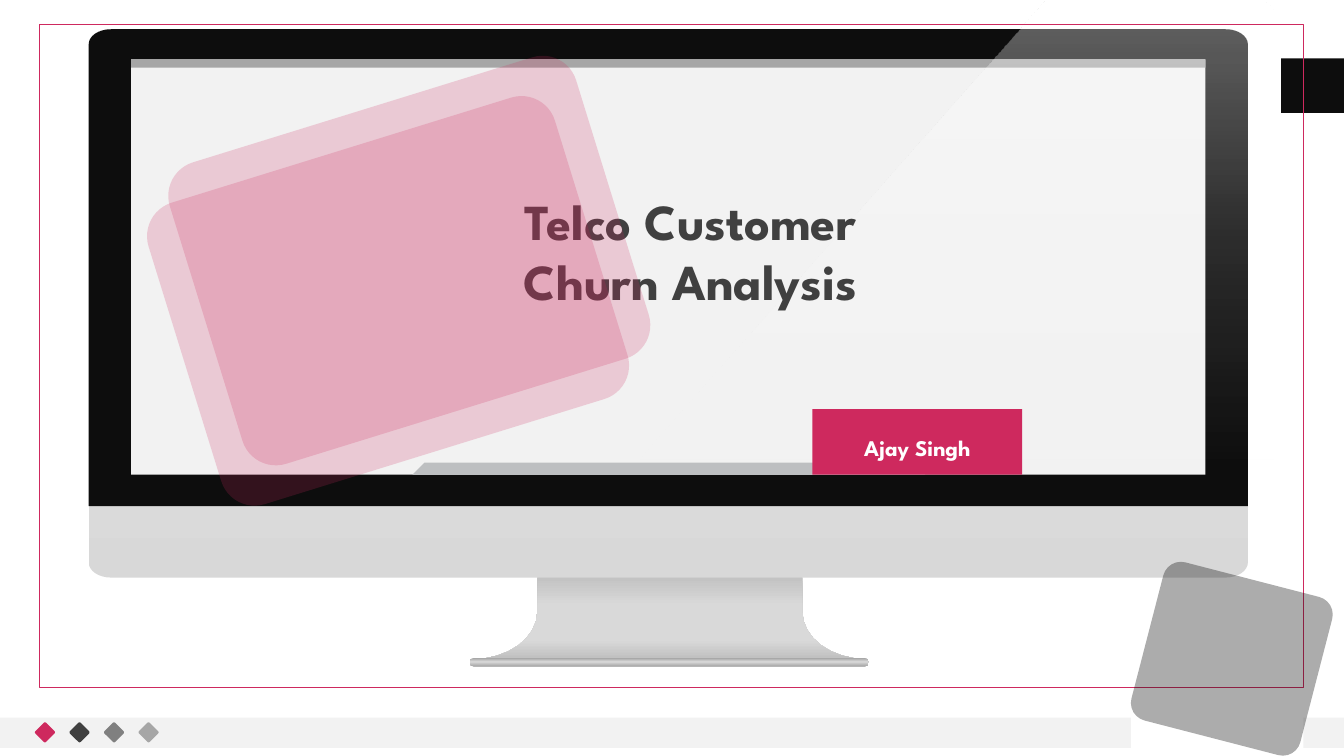
from dataclasses import dataclass
from math import cos, pi, sin

from lxml.etree import SubElement
from pptx import Presentation
from pptx.dml.color import RGBColor
from pptx.enum.shapes import MSO_SHAPE
from pptx.enum.text import MSO_ANCHOR, PP_ALIGN
from pptx.oxml.ns import qn
from pptx.util import Inches, Pt


@dataclass(frozen=True)
class Theme:
    font: str = "League Spartan"
    accent: str = "CE295E"
    black: str = "0D0D0D"
    charcoal: str = "404040"
    gray: str = "808080"
    silver: str = "A6A6A6"
    steel: str = "BFBFBF"
    metal: str = "D9D9D9"
    pale: str = "F2F2F2"
    white: str = "FFFFFF"
    title_size: int = 36
    name_size: int = 16


THEME = Theme()
WIDTH, HEIGHT = Inches(13.333), Inches(7.5)
ROUNDING = 0.111
CORNER_X, CORNER_Y = 1.65, 2  # corner radii of the monitor


# Lengths are percentages of the slide's width and height
def across(share):
    return round(WIDTH * share / 100)


def down(share):
    return round(HEIGHT * share / 100)


def box(left, top, width, height):
    return across(left), down(top), across(width), down(height)


def add_color(parent, color, opacity):
    element = SubElement(parent, qn("a:srgbClr"), val=color)
    if opacity < 100:
        SubElement(element, qn("a:alpha"), val=str(opacity * 1000))


def paint(shape, color=None, opacity=100, stops=None, angle=90, line=None):
    """Fill with one colour, or with stops of (position, colour, opacity)."""
    shape.shadow.inherit = False
    if stops:
        shape.fill.gradient()
        gradient = shape._element.spPr.find(qn("a:gradFill"))
        for child in list(gradient):
            gradient.remove(child)
        stop_list = SubElement(gradient, qn("a:gsLst"))
        for position, stop_color, stop_opacity in stops:
            stop = SubElement(stop_list, qn("a:gs"), pos=str(position * 1000))
            add_color(stop, stop_color, stop_opacity)
        SubElement(gradient, qn("a:lin"), ang=str(angle * 60000), scaled="0")
    elif color:
        shape.fill.solid()
        solid = shape._element.spPr.find(qn("a:solidFill"))
        for child in list(solid):
            solid.remove(child)
        add_color(solid, color, opacity)
    else:
        shape.fill.background()
    if line:
        shape.line.color.rgb = RGBColor.from_string(line)
        shape.line.width = Pt(1)
    else:
        shape.line.fill.background()


def add_rectangle(slide, bounds, rounding=None, rotation=0, **style):
    kind = MSO_SHAPE.RECTANGLE if rounding is None else MSO_SHAPE.ROUNDED_RECTANGLE
    shape = slide.shapes.add_shape(kind, *box(*bounds))
    if rounding is not None:
        shape.adjustments[0] = rounding
    shape.rotation = rotation
    paint(shape, **style)
    return shape


def add_outline(slide, points, **style):
    places = [(across(x), down(y)) for x, y in points]
    builder = slide.shapes.build_freeform(*places[0])
    builder.add_line_segments(places[1:], close=True)
    shape = builder.convert_to_shape()
    paint(shape, **style)
    return shape


def arc(center_x, center_y, radius_x, radius_y, start, steps=8):
    """A clockwise quarter turn from an angle in degrees."""
    angles = [start * pi / 180 + step * pi / 2 / steps for step in range(steps + 1)]
    return [(center_x + radius_x * cos(a), center_y + radius_y * sin(a)) for a in angles]


def monitor_outline(left, top, width, height, round_bottom):
    right, bottom = left + width, top + height
    inner_left, inner_right = left + CORNER_X, right - CORNER_X
    points = arc(inner_left, top + CORNER_Y, CORNER_X, CORNER_Y, 180)
    points += arc(inner_right, top + CORNER_Y, CORNER_X, CORNER_Y, 270)
    if round_bottom:
        points += arc(inner_right, bottom - CORNER_Y, CORNER_X, CORNER_Y, 0)
        points += arc(inner_left, bottom - CORNER_Y, CORNER_X, CORNER_Y, 90)
    else:
        points += [(right, bottom), (left, bottom)]
    return points


def write(shape, text, size, color, top_inset=0.05, bottom_inset=0.05):
    frame = shape.text_frame
    frame.word_wrap = True
    frame.vertical_anchor = MSO_ANCHOR.MIDDLE
    frame.margin_top, frame.margin_bottom = Inches(top_inset), Inches(bottom_inset)
    paragraph = frame.paragraphs[0]
    paragraph.alignment = PP_ALIGN.CENTER
    run = paragraph.add_run()
    run.text = text
    run.font.name, run.font.size, run.font.bold = THEME.font, Pt(size), True
    run.font.color.rgb = RGBColor.from_string(color)


def add_margin_marks(slide):
    # Footer band in two parts and the tab at the right edge
    add_rectangle(slide, (0, 94.93, 84.15, 4), color=THEME.pale)
    add_rectangle(slide, (95.33, 7.73, 4.67, 7.2), color=THEME.black)
    add_rectangle(slide, (96.98, 94.93, 3.02, 4), color=THEME.pale)
    # Diamonds
    for index, color in enumerate((THEME.accent, THEME.charcoal, THEME.gray, THEME.silver)):
        add_rectangle(slide, (2.78 + 2.57 * index, 95.87, 1.13, 2),
                      rounding=ROUNDING, rotation=45, color=color)


def add_monitor(slide):
    # Stand: one flared side, mirrored about the middle
    middle, neck, foot = 49.84, 9.86, 14.66
    flare = [(neck, 75.87)] + [
        (x, y) for x, y in reversed(arc(foot, 80.93, foot - neck, 6.27, 90))]
    points = [(middle + x, y) for x, y in flare]
    points += [(middle - x, y) for x, y in reversed(flare)]
    add_outline(slide, points, stops=[(0, THEME.steel, 100), (37, THEME.metal, 100),
                                      (77, THEME.metal, 100), (100, THEME.steel, 100)])
    add_rectangle(slide, (34.95, 87.07, 29.7, 1.07), rounding=0.5,
                  stops=[(0, THEME.silver, 100), (44, THEME.metal, 100),
                         (100, THEME.silver, 100)])
    # Case and bezel
    add_outline(slide, monitor_outline(6.6, 3.87, 86.25, 72.53, True), angle=270,
                stops=[(0, "D8D8D8", 100), (50, "E5E5E5", 100), (100, THEME.pale, 100)])
    add_outline(slide, monitor_outline(6.6, 3.87, 86.25, 63.07, False), color=THEME.black)
    # Screen with its top and bottom bars
    add_rectangle(slide, (9.75, 7.87, 79.95, 54.93), color=THEME.pale)
    add_rectangle(slide, (9.75, 7.87, 79.95, 1.07), color=THEME.silver)
    add_outline(slide, [(31.58, 61.2), (67.58, 61.2), (68.85, 62.8), (30.68, 62.8)],
                color="BDBFC1")
    # Glare
    corner = arc(94.73 - CORNER_X, CORNER_Y, CORNER_X, CORNER_Y, 270)
    add_outline(slide, [(77.82, 0), *corner, (94.73, 61.2), (47.33, 61.2)],
                stops=[(0, THEME.white, 36), (50, THEME.white, 13), (100, THEME.white, 0)])


def main():
    presentation = Presentation()
    presentation.slide_width, presentation.slide_height = WIDTH, HEIGHT
    slide = presentation.slides.add_slide(presentation.slide_layouts[6])

    add_margin_marks(slide)
    add_monitor(slide)
    add_rectangle(slide, (2.93, 3.2, 94.05, 87.73), line=THEME.accent)

    # Title
    title = slide.shapes.add_textbox(*box(35.18, 24.4, 32.4, 17.47))
    write(title, "Telco Customer Churn Analysis", THEME.title_size, THEME.charcoal)

    # Tilted translucent cards
    for left, top in ((14.63, 13.6), (13.05, 18.93)):
        add_rectangle(slide, (left, top, 31.65, 41.73), rounding=ROUNDING,
                      rotation=342.8, color=THEME.accent, opacity=20)
    add_rectangle(slide, (85.58, 75.6, 12.15, 23.07), rounding=ROUNDING,
                  rotation=284.5, color=THEME.black, opacity=34)

    # Author
    author = add_rectangle(slide, (60.45, 54.13, 15.6, 8.67), color=THEME.accent)
    write(author, "Ajay Singh", THEME.name_size, THEME.white,
          top_inset=0.11, bottom_inset=0)

    presentation.save("out.pptx")


if __name__ == "__main__":
    main()
